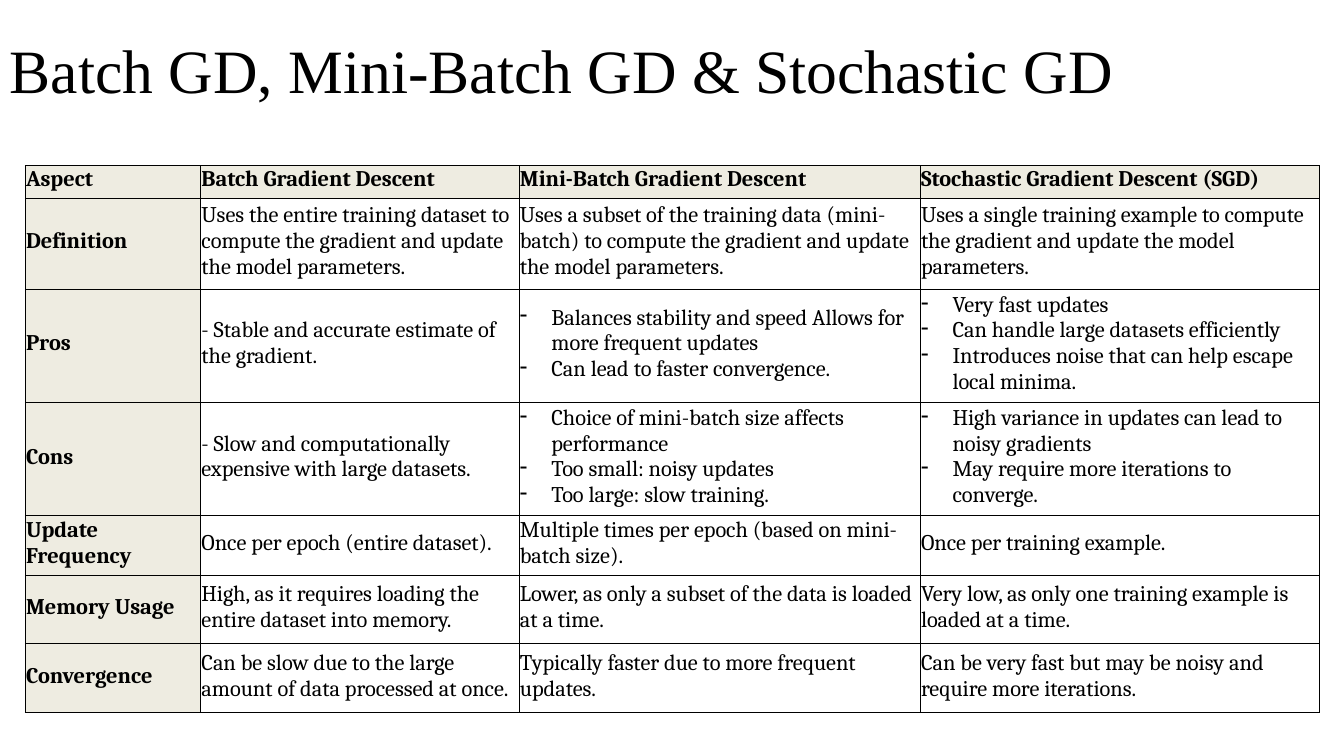
from lxml.etree import SubElement
from pptx import Presentation
from pptx.dml.color import RGBColor
from pptx.enum.text import MSO_ANCHOR
from pptx.oxml.ns import qn
from pptx.util import Pt

COLORS = {"ink": "000000", "label": "EEECE1"}
COLUMN_WIDTHS = [125.3, 227.5, 286.5, 285.1]
ROW_HEIGHTS = [18.7, 64.8, 64.8, 64.8, 33.1, 49, 49]
ROWS = [
    ["Aspect", "Batch Gradient Descent", "Mini-Batch Gradient Descent",
     "Stochastic Gradient Descent (SGD)"],
    ["Definition",
     "Uses the entire training dataset to compute the gradient and update the model parameters.",
     "Uses a subset of the training data (mini-batch) to compute the gradient and update the model parameters.",
     "Uses a single training example to compute the gradient and update the model parameters."],
    ["Pros",
     "- Stable and accurate estimate of the gradient.",
     ["Balances stability and speed Allows for more frequent updates",
      "Can lead to faster convergence."],
     ["Very fast updates",
      "Can handle large datasets efficiently",
      "Introduces noise that can help escape local minima."]],
    ["Cons",
     "- Slow and computationally expensive with large datasets.",
     ["Choice of mini-batch size affects performance",
      "Too small: noisy updates",
      "Too large: slow training."],
     ["High variance in updates can lead to noisy gradients",
      "May require more iterations to converge."]],
    ["Update Frequency",
     "Once per epoch (entire dataset).",
     "Multiple times per epoch (based on mini-batch size).",
     "Once per training example."],
    ["Memory Usage",
     "High, as it requires loading the entire dataset into memory.",
     "Lower, as only a subset of the data is loaded at a time.",
     "Very low, as only one training example is loaded at a time."],
    ["Convergence",
     "Can be slow due to the large amount of data processed at once.",
     "Typically faster due to more frequent updates.",
     "Can be very fast but may be noisy and require more iterations."],
]


def style_paragraph(paragraph, name, size, bold=False):
    font = paragraph.font
    font.name = name
    font.size = Pt(size)
    font.bold = bold
    font.color.rgb = RGBColor.from_string(COLORS["ink"])


def add_dash(paragraph):
    properties = paragraph._p.get_or_add_pPr()
    properties.set("marL", str(Pt(22.5)))
    properties.set("indent", str(Pt(-22.5)))
    SubElement(properties, qn("a:buChar"), char="-")


def add_borders(cell):
    properties = cell._tc.get_or_add_tcPr()
    for side in ("lnL", "lnR", "lnT", "lnB"):
        line = SubElement(properties, qn(f"a:{side}"), w=str(Pt(0.5)))
        fill = SubElement(line, qn("a:solidFill"))
        SubElement(fill, qn("a:srgbClr"), val=COLORS["ink"])


def fill_cell(cell, content, is_label):
    cell.margin_left = cell.margin_right = cell.margin_top = Pt(0.6)
    cell.margin_bottom = Pt(3.6)
    cell.vertical_anchor = MSO_ANCHOR.MIDDLE
    add_borders(cell)
    if is_label:
        cell.fill.solid()
        cell.fill.fore_color.rgb = RGBColor.from_string(COLORS["label"])
    else:
        cell.fill.background()
    is_list = isinstance(content, list)
    cell.text_frame.text = "\n".join(content) if is_list else content
    for paragraph in cell.text_frame.paragraphs:
        if is_list:
            add_dash(paragraph)
        style_paragraph(paragraph, "Cambria", 16, is_label)


def add_title(page, text):
    box = page.shapes.add_textbox(Pt(0), Pt(0), Pt(828), Pt(104.4))
    frame = box.text_frame
    frame.word_wrap = True
    frame.vertical_anchor = MSO_ANCHOR.MIDDLE
    paragraph = frame.paragraphs[0]
    paragraph.text = text
    paragraph.line_spacing = 0.9
    style_paragraph(paragraph, "Times New Roman", 44)


def add_comparison(page):
    table = page.shapes.add_table(
        len(ROWS), len(COLUMN_WIDTHS), Pt(18), Pt(118.1),
        Pt(sum(COLUMN_WIDTHS)), Pt(sum(ROW_HEIGHTS))).table
    table.horz_banding = False
    table.first_row = False
    for column, width in zip(table.columns, COLUMN_WIDTHS):
        column.width = Pt(width)
    for row_index, (row, height) in enumerate(zip(table.rows, ROW_HEIGHTS)):
        row.height = Pt(height)
        for column_index, content in enumerate(ROWS[row_index]):
            is_label = row_index == 0 or column_index == 0
            fill_cell(table.cell(row_index, column_index), content, is_label)


def main():
    deck = Presentation()
    deck.slide_width = Pt(960)
    deck.slide_height = Pt(540)
    page = deck.slides.add_slide(deck.slide_layouts[6])
    add_title(page, "Batch GD, Mini-Batch GD & Stochastic GD")
    add_comparison(page)
    deck.save("out.pptx")


if __name__ == "__main__":
    main()
